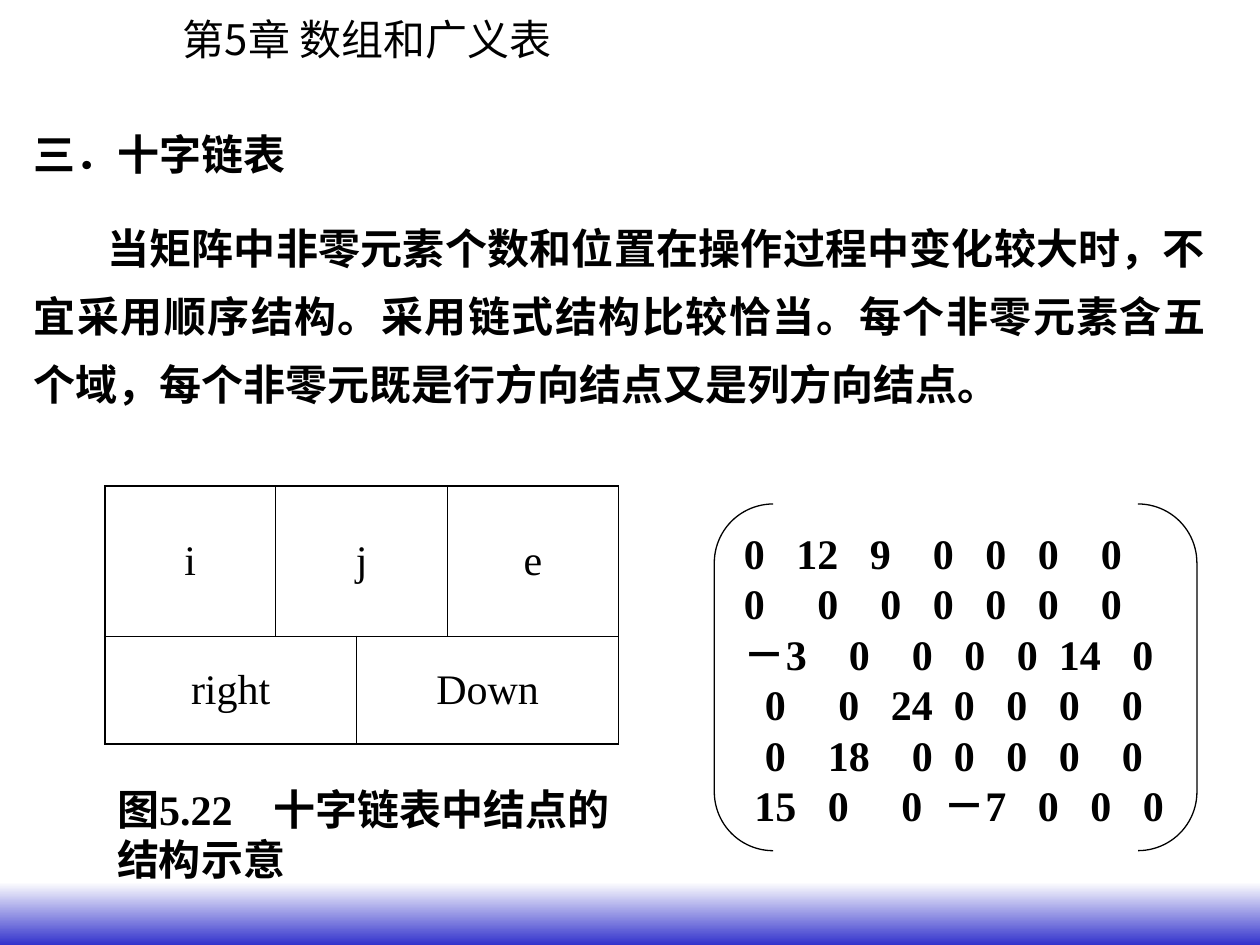
from lxml import etree
from pptx import Presentation
from pptx import util as u
from pptx.dml.color import RGBColor
from pptx.enum import shapes, text
from pptx.oxml.ns import qn

SERIF = "Times New Roman"
SANS = "Noto Sans CJK SC"


def rgb(code):
    return RGBColor.from_string(code)


def style(p, name=SERIF, bold=False, tabs=()):
    if tabs:
        lst = etree.SubElement(p._p.get_or_add_pPr(), qn("a:tabLst"))
        for pos in tabs:
            etree.SubElement(lst, qn("a:tab"), pos=str(int(pos)), algn="l")
    for r in p.runs:
        r.font.name = name
        r.font.size = u.Pt(24)
        r.font.bold = bold
        r.font.color.rgb = rgb("000000")
        ea = etree.SubElement(r._r.get_or_add_rPr(), qn("a:ea"))
        ea.set("typeface", SANS)


prs = Presentation()
prs.slide_width, prs.slide_height = u.Cm(25.4), u.Cm(19.05)
s = prs.slides.add_slide(prs.slide_layouts[5])

title = s.shapes.title
title.left, title.top, title.width, title.height = u.Cm(3.43), u.Cm(0.15), u.Cm(8.53), u.Cm(1.27)
tf = title.text_frame
tf.text = "第5章 数组和广义表"
tf.word_wrap = False
tf.auto_size = text.MSO_AUTO_SIZE.NONE
tf.vertical_anchor = text.MSO_ANCHOR.TOP
tf.paragraphs[0].alignment = text.PP_ALIGN.LEFT
style(tf.paragraphs[0], SANS)

band = s.shapes.add_shape(shapes.MSO_SHAPE.RECTANGLE, 0, u.Cm(17.78), prs.slide_width, u.Cm(1.27))
band.shadow.inherit = False
band.line.fill.background()
band.fill.gradient()
band.fill.gradient_angle = 270
for stop, code, pos in zip(band.fill.gradient_stops, ("FFFFFF", "3333CC"), (0, 1)):
    stop.color.rgb = rgb(code)
    stop.position = pos

body = s.shapes.add_textbox(u.Cm(0.43), u.Cm(2.11), u.Cm(24.13), u.Cm(6.27))
tf = body.text_frame
tf.word_wrap = True
tf.text = (
    "三．十字链表\n"
    "当矩阵中非零元素个数和位置在操作过程中变化较大时，不宜采用顺序结构。"
    "采用链式结构比较恰当。每个非零元素含五个域，每个非零元既是行方向结点又是列方向结点。"
)
for p, name in zip(tf.paragraphs, (SERIF, SANS)):
    p.alignment = text.PP_ALIGN.JUSTIFY
    p.line_spacing = 1.35
    style(p, name, bold=True)
p.space_before = u.Pt(15)
p._p.get_or_add_pPr().set("indent", str(u.Cm(1.48)))

matrix = [
    ("0 12 9 0 0 0 0", (0, 5, 12, 18, 23, 28, 34)),
    ("0 0 0 0 0 0 0", (0, 7, 13, 18, 23, 28, 34)),
    ("－3 0 0 0 0 14 0", (0, 10, 16, 21, 26, 30, 37)),
    ("0 0 24 0 0 0 0", (2, 9, 14, 20, 25, 30, 36)),
    ("0 18 0 0 0 0 0", (2, 8, 16, 20, 25, 30, 36)),
    ("15 0 0 －7 0 0 0", (1, 8, 15, 19, 28, 33, 38)),
]
sp = s.shapes.add_shape(shapes.MSO_SHAPE.DOUBLE_BRACKET, u.Cm(14.4), u.Cm(10.16), u.Cm(9.73), u.Cm(6.99))
sp.shadow.inherit = False
sp.adjustments[0] = 0.17
sp.fill.background()
sp.line.color.rgb = rgb("000000")
sp.line.width = u.Pt(0.75)
tf = sp.text_frame
tf.vertical_anchor = text.MSO_ANCHOR.TOP
tf.text = "\n".join(("\t" if stops[0] else "") + row.replace(" ", "\t") for row, stops in matrix)
for p, (row, stops) in zip(tf.paragraphs, matrix):
    p.alignment = text.PP_ALIGN.LEFT
    style(p, bold=True, tabs=[u.Pt(6 * n) for n in stops if n])

tbl = s.shapes.add_table(2, 4, u.Cm(2.11), u.Cm(9.8), u.Cm(10.36), u.Cm(5.2)).table
tbl.first_row = tbl.horz_banding = False
tbl._tbl.tblPr.find(qn("a:tableStyleId")).text = "{2D5ABB26-0587-4C30-8999-92F81FD0307C}"
for col, w in zip(tbl.columns, (3.45, 1.63, 1.83, 3.45)):
    col.width = u.Cm(w)
for row, h in zip(tbl.rows, (3.02, 2.18)):
    row.height = u.Cm(h)
fields = [(0, 0, 1, "i"), (0, 1, 2, "j"), (0, 3, 1, "e"), (1, 0, 2, "right"), (1, 2, 2, "Down")]
for row, col, span, label in fields:
    c = tbl.cell(row, col)
    if span > 1:
        c.merge(tbl.cell(row, col + span - 1))
    c.text = label
    c.vertical_anchor = text.MSO_ANCHOR.MIDDLE
    c.fill.background()
    p = c.text_frame.paragraphs[0]
    p.alignment = text.PP_ALIGN.CENTER
    style(p)
    outer = {"L": col == 0, "R": col + span == 4, "T": row == 0, "B": row == 1}
    for i, (side, edge) in enumerate(outer.items()):
        ln = etree.Element(qn("a:ln" + side), w=str(u.Pt(1.08 if edge else 0.45)))
        fill = etree.SubElement(ln, qn("a:solidFill"))
        etree.SubElement(fill, qn("a:srgbClr"), val="000000")
        c._tc.get_or_add_tcPr().insert(i, ln)

caption = s.shapes.add_textbox(u.Cm(2.11), u.Cm(15.67), u.Cm(10.8), u.Cm(2.29))
tf = caption.text_frame
tf.word_wrap = True
tf.text = "图5.22\t十字链表中结点的结构示意"
style(tf.paragraphs[0], bold=True, tabs=[u.Cm(3.16)])

prs.save("out.pptx")
